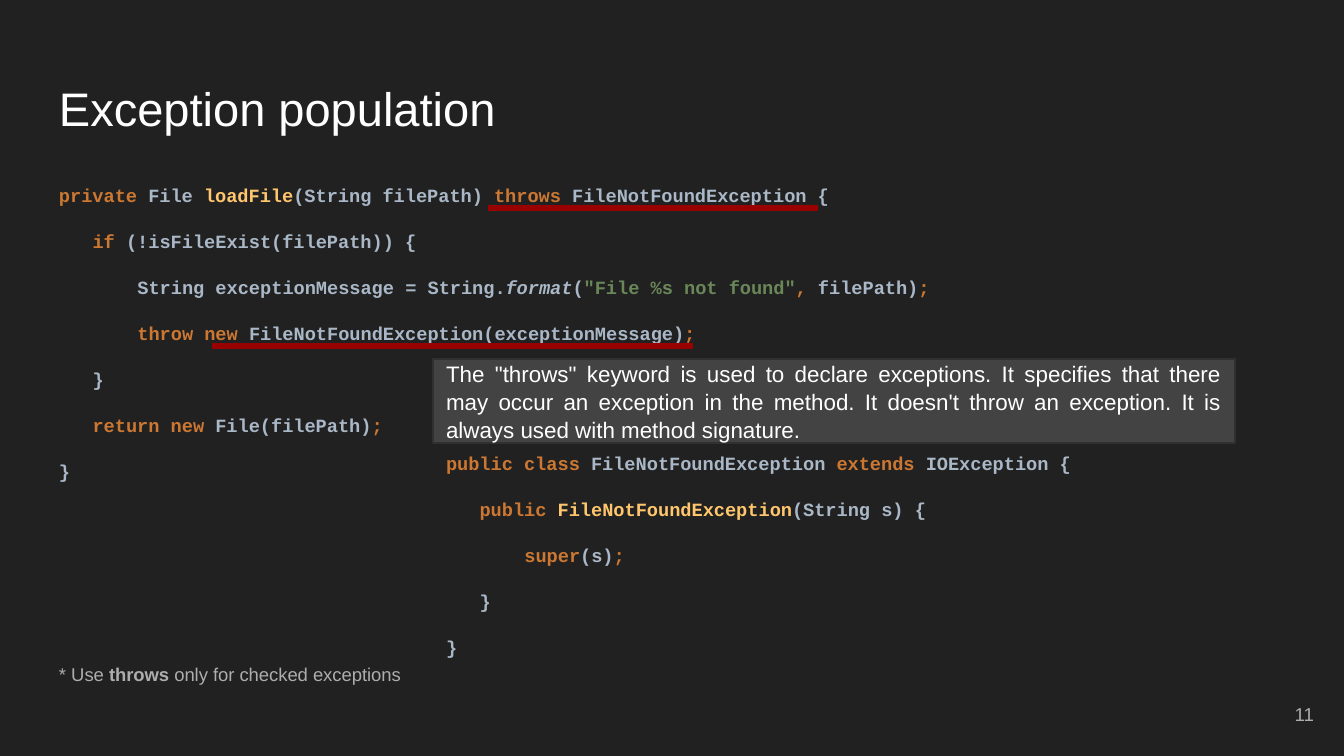
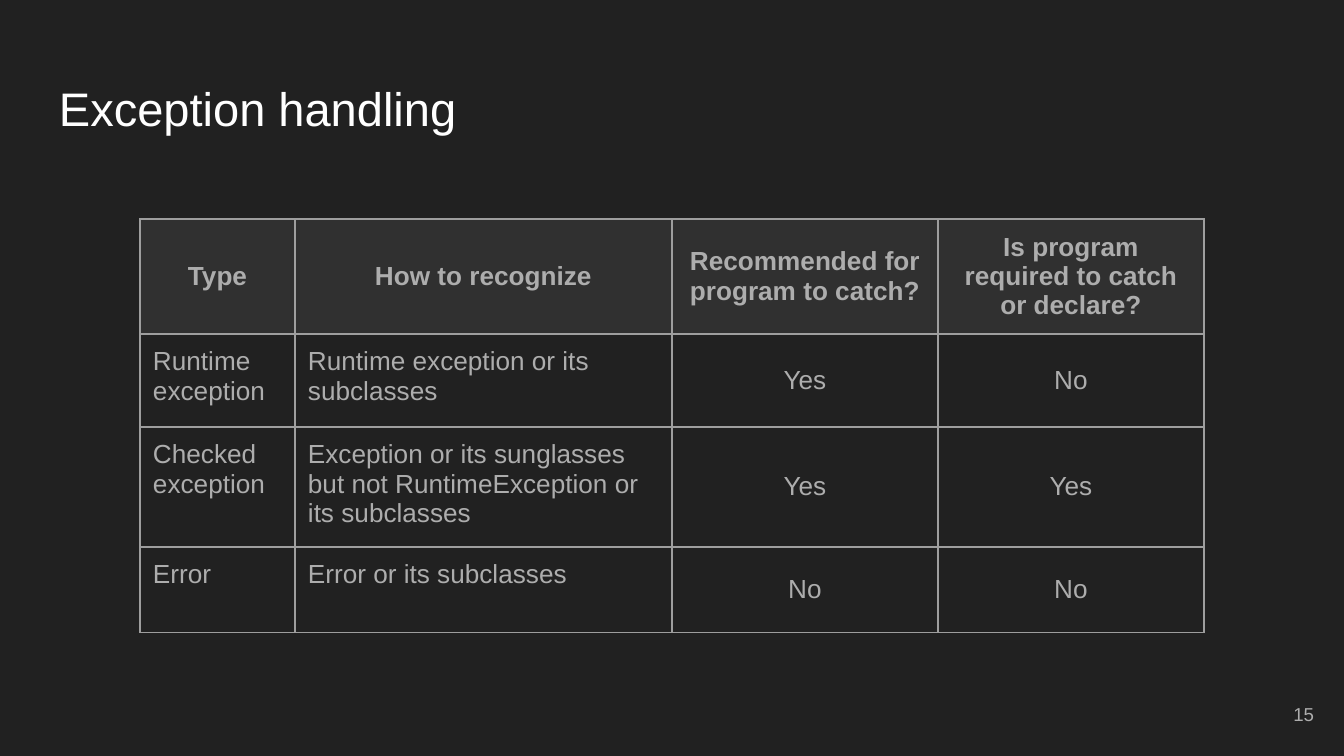
from pptx import Presentation
from pptx import util as u
from pptx.dml.color import RGBColor
from pptx.enum import shapes, text
from pptx.oxml.ns import qn
from lxml import etree

PX = 914400 / 134.4
PAD = 13
SANS, MONO = "Arial", "Courier New"
BACK, PANEL, BOX = "212121", "303030", "434343"
WHITE, GREY, RULE, RED = "FFFFFF", "ADADAD", "9E9E9E", "990000"
LEFT, MID = text.PP_ALIGN.LEFT, text.PP_ALIGN.CENTER
TOP, MIDDLE = text.MSO_ANCHOR.TOP, text.MSO_ANCHOR.MIDDLE

# Syntax colours: keyword, plain, method name, string, italic call
INK = {"k": "CC7832", "n": "A9B7C6", "f": "FFC66D", "s": "6A8759", "i": "A9B7C6"}
STEP = 11.2  # width of one code character

# Code lines: indent in characters, then runs of (ink, words)
LOAD = [
    (0, [("k", "private "), ("n", "File "), ("f", "loadFile"),
         ("n", "(String filePath) "), ("k", "throws "),
         ("n", "FileNotFoundException {")]),
    (3, [("k", "if "), ("n", "(!isFileExist(filePath)) {")]),
    (7, [("n", "String exceptionMessage = String."), ("i", "format"), ("n", "("),
         ("s", '"File %s not found"'), ("k", ", "), ("n", "filePath)"), ("k", ";")]),
    (7, [("k", "throw new "), ("n", "FileNotFoundException(exceptionMessage)"),
         ("k", ";")]),
    (3, [("n", "}")]),
    (3, [("k", "return new "), ("n", "File(filePath)"), ("k", ";")]),
    (0, [("n", "}")]),
]
CLASS = [
    (0, [("k", "public class "), ("n", "FileNotFoundException "),
         ("k", "extends "), ("n", "IOException {")]),
    (3, [("k", "public "), ("f", "FileNotFoundException"), ("n", "(String s) {")]),
    (7, [("k", "super"), ("n", "(s)"), ("k", ";")]),
    (3, [("n", "}")]),
    (0, [("n", "}")]),
]
THROWS = ('The "throws" keyword is used to declare exceptions. It specifies that '
          "there may occur an exception in the method. It doesn't throw an "
          "exception. It is always used with method signature.")
KINDS = [
    ["Type", "How to recognize", "Recommended for program to catch?",
     "Is program required to catch or declare?"],
    ["Runtime exception", "Runtime exception or its subclasses", "Yes", "No"],
    ["Checked exception", "Exception or its sunglasses but not RuntimeException "
     "or its subclasses", "Yes", "Yes"],
    ["Error", "Error or its subclasses", "No", "No"],
]


def px(n):
    return u.Emu(round(n * PX))


def rgb(code):
    return RGBColor.from_string(code)


def put(obj, form):
    for name, value in form.items():
        setattr(obj, name, value)


def place(shape, x, y, w, h):
    put(shape, {"left": px(x), "top": px(y), "width": px(w), "height": px(h)})


def frame(shape, anchor=TOP):
    tf = shape.text_frame
    put(tf, {"word_wrap": True, "auto_size": text.MSO_AUTO_SIZE.NONE,
             "vertical_anchor": anchor})
    put(tf, {f"margin_{side}": px(PAD) for side in ("left", "top", "right", "bottom")})
    return tf


def add_run(para, words, size, color, face=SANS, bold=False, italic=False):
    run = para.add_run()
    run.text = words
    put(run.font, {"size": u.Pt(size), "name": face, "bold": bold, "italic": italic})
    run.font.color.rgb = rgb(color)


def style(para, align=LEFT, before=0, after=0, pitch=1.0, dent=0):
    put(para, {"alignment": align, "space_before": u.Pt(before),
               "space_after": u.Pt(after), "line_spacing": pitch})
    ppr = para._p.get_or_add_pPr()
    ppr.set("marL", str(px(dent)))
    ppr.set("indent", "0")
    etree.SubElement(ppr, qn("a:buNone"))


def add_page(prs, layout, title, number):
    page = prs.slides.add_slide(prs.slide_layouts[layout])
    head = page.shapes.title
    place(head, 46, 66, 1253, 85)
    para = frame(head).paragraphs[0]
    style(para)
    add_run(para, title, 25.2, WHITE)
    # Page number
    foot = page.shapes.add_textbox(px(1246), px(685), px(81), px(58))
    para = frame(foot, MIDDLE).paragraphs[0]
    para.alignment = text.PP_ALIGN.RIGHT
    add_run(para, number, 10, GREY)
    return page


def add_code(body, box, lines):
    place(body, *box)
    tf = frame(body)
    for i, (dent, runs) in enumerate(lines):
        para = tf.add_paragraph() if i else tf.paragraphs[0]
        last = i == len(lines) - 1
        style(para, before=12, after=12 if last else 0, pitch=1.06, dent=dent * STEP)
        for ink, words in runs:
            add_run(para, words, 10, INK[ink], MONO, True, ink == "i")


def add_note(body, box, runs):
    place(body, *box)
    para = frame(body).paragraphs[0]
    style(para, before=12, after=12, pitch=0.95)
    for words, bold in runs:
        add_run(para, words, 9.9, GREY, bold=bold)


def add_mark(page, x, end, y):
    line = page.shapes.add_connector(shapes.MSO_CONNECTOR.STRAIGHT,
                                     px(x), px(y), px(end), px(y))
    line.line.color.rgb = rgb(RED)
    line.line.width = u.Pt(3)
    etree.SubElement(line._element.spPr, qn("a:effectLst"))


def add_panel(page, box, words):
    panel = page.shapes.add_shape(shapes.MSO_SHAPE.RECTANGLE, *map(px, box))
    panel.shadow.inherit = False
    panel.fill.solid()
    panel.fill.fore_color.rgb = rgb(BOX)
    panel.line.color.rgb = rgb(PANEL)
    panel.line.width = u.Pt(0.75)
    para = frame(panel, MIDDLE).paragraphs[0]
    style(para, text.PP_ALIGN.JUSTIFY, 12, 12, 1.05)
    add_run(para, words, 12, WHITE)


def edge(cell):
    tcpr = cell._tc.get_or_add_tcPr()
    for i, side in enumerate(("lnL", "lnR", "lnT", "lnB")):
        line = etree.Element(qn(f"a:{side}"), w=str(u.Pt(0.75)))
        fill = etree.SubElement(line, qn("a:solidFill"))
        etree.SubElement(fill, qn("a:srgbClr"), val=RULE)
        tcpr.insert(i, line)


def add_grid(page, x, y, cols, rows, data):
    grid = page.shapes.add_table(len(rows), len(cols), px(x), px(y),
                                 px(sum(cols)), px(sum(rows))).table
    put(grid, {"first_row": False, "horz_banding": False})
    for col, w in zip(grid.columns, cols):
        col.width = px(w)
    for r, h in enumerate(rows):
        grid.rows[r].height = px(h)
        for c, words in enumerate(data[r]):
            cell, head = grid.cell(r, c), r == 0
            mid = head or c > 1
            put(cell, {f"margin_{side}": px(PAD)
                       for side in ("left", "top", "right", "bottom")})
            cell.vertical_anchor = MIDDLE if mid else TOP
            if head:
                cell.fill.solid()
                cell.fill.fore_color.rgb = rgb(PANEL)
            else:
                cell.fill.background()
            edge(cell)
            para = cell.text_frame.paragraphs[0]
            para.alignment = MID if mid else LEFT
            add_run(para, words, 14, GREY, bold=head)


def main():
    prs = Presentation()
    put(prs, {"slide_width": px(1344), "slide_height": px(756)})
    back = prs.slide_master.background.fill
    back.solid()
    back.fore_color.rgb = rgb(BACK)

    # Throwing: code, underlines and explanation
    page = add_page(prs, 4, "Exception population", "11")
    load, kind, note, spare = list(page.placeholders)[1:]
    spare._element.getparent().remove(spare._element)
    add_code(load, (46, 169, 933, 273), LOAD)
    add_mark(page, 488, 818, 208)
    add_panel(page, (433, 359, 802, 84), THROWS)
    add_code(kind, (433, 437, 813, 273), CLASS)
    add_mark(page, 212, 693, 346)
    add_note(note, (46, 652, 840, 58),
             [("* Use ", False), ("throws", True),
              (" only for checked exceptions", False)])

    # Handling: table of exception kinds
    page = add_page(prs, 5, "Exception handling", "15")
    add_grid(page, 140, 219, (155, 377, 266, 266), (115, 93, 120, 86), KINDS)

    prs.save("out.pptx")


if __name__ == "__main__":
    main()
